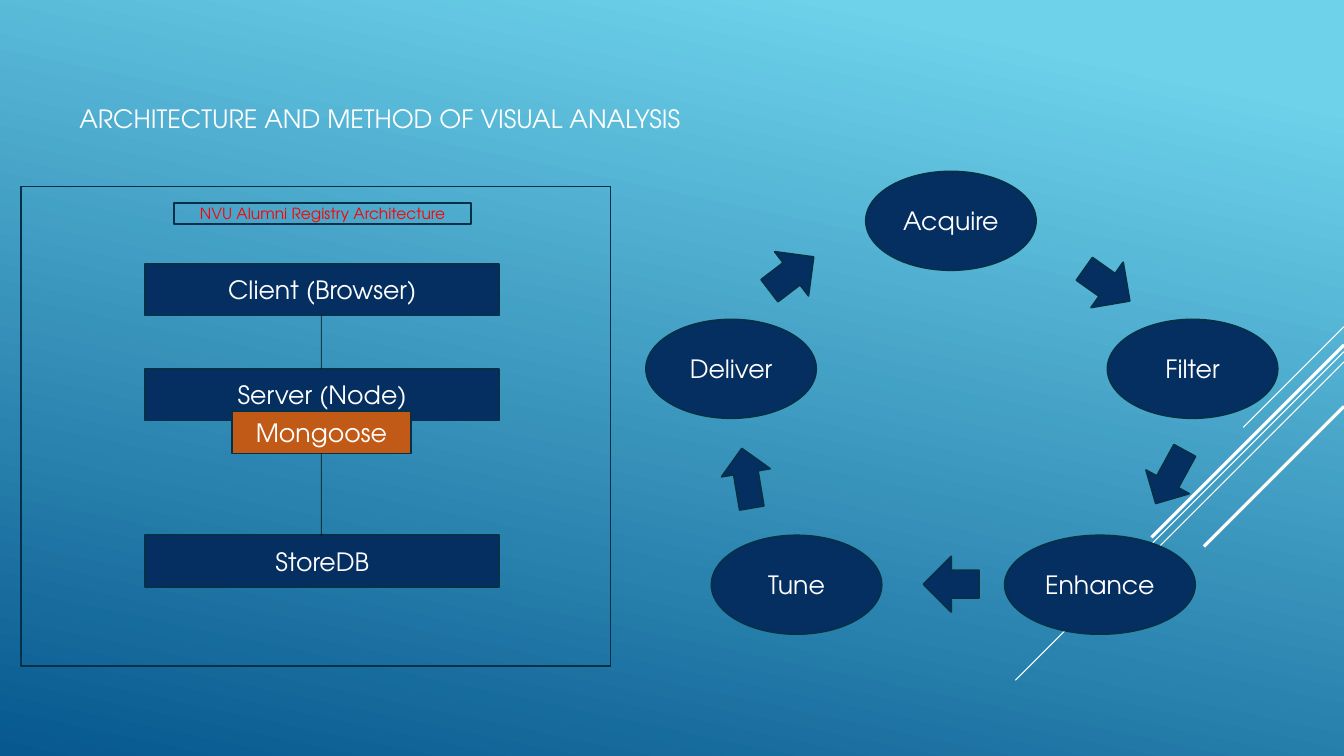
from lxml import etree
from pptx import Presentation
from pptx import util as u
from pptx.dml import color
from pptx.enum import shapes, text
from pptx.oxml import ns

COLORS = {
    "sky": "6ED2EB", "deep": "06588E", "navy": "052F61", "edge": "043148",
    "orange": "C15A16", "white": "FFFFFF", "red": "FF0000", "black": "000000",
}
KIND = shapes.MSO_SHAPE


def rgb(name):
    return color.RGBColor.from_string(COLORS[name])


def apply(target, values):
    for key, value in values.items():
        setattr(target, key, value)


class Slide:
    font = "TeX Gyre Adventor"
    frame = {"word_wrap": True, "auto_size": text.MSO_AUTO_SIZE.NONE,
             "vertical_anchor": text.MSO_ANCHOR.MIDDLE}

    def __init__(self, deck):
        self.page = deck.slides.add_slide(deck.slide_layouts[6])

    def background(self, angle, stops):
        fill = self.page.background.fill
        fill.gradient()
        fill.gradient_angle = angle
        for stop, (position, name) in zip(fill.gradient_stops, stops):
            stop.position = position
            stop.color.rgb = rgb(name)

    def label(self, box, words, size=18, ink="white", align=text.PP_ALIGN.CENTER):
        apply(box.text_frame, self.frame)
        para = box.text_frame.paragraphs[0]
        para.alignment = align
        span = para.add_run()
        span.text = words
        apply(span.font, {"name": self.font, "size": u.Pt(size)})
        span.font.color.rgb = rgb(ink)

    def title(self, words, *place):
        box = self.page.shapes.add_textbox(*map(u.Cm, place))
        self.label(box, words, align=text.PP_ALIGN.LEFT)

    def shape(self, kind, place, words=None, fill="navy", turn=0, **style):
        box = self.page.shapes.add_shape(kind, *map(u.Cm, place))
        box.shadow.inherit = False
        box.rotation = turn
        if fill:
            box.fill.solid()
            box.fill.fore_color.rgb = rgb(fill)
        else:
            box.fill.background()
        box.line.color.rgb = rgb("edge")
        box.line.width = u.Pt(1.25)
        if words:
            self.label(box, words, **style)

    def line(self, ends, ink, width=0.75, opacity=None):
        link = self.page.shapes.add_connector(
            shapes.MSO_CONNECTOR.STRAIGHT, *map(u.Cm, ends))
        link.line.color.rgb = rgb(ink)
        link.line.width = u.Pt(width)
        properties = link._element.spPr
        etree.SubElement(properties, ns.qn("a:effectLst"))
        if opacity:
            tone = properties.find(".//" + ns.qn("a:srgbClr"))
            etree.SubElement(tone, ns.qn("a:alpha"), val=str(opacity * 1000))


deck = Presentation()
WIDTH = 33.87
apply(deck, {"slide_width": u.Cm(WIDTH), "slide_height": u.Cm(19.05)})
slide = Slide(deck)
slide.background(258, [(0.1, "sky"), (1, "deep")])

for top, reach, width in [(8.23, 2.54, 0.75), (8.86, 8.28, 0.75),
                          (9.12, 5.26, 0.75), (8.69, 4.85, 2.25),
                          (10.24, 3.53, 2.25)]:
    slide.line((WIDTH, top, WIDTH - reach, top + reach), "white", width)

slide.title("ARCHITECTURE AND METHOD OF VISUAL ANALYSIS", 1.75, 1.6, 16.61, 2.79)

for step, left, top, width in [("Acquire", 21.82, 4.32, 4.29),
                               ("Filter", 27.91, 8.05, 4.29),
                               ("Tune", 17.93, 13.49, 4.29),
                               ("Deliver", 16.28, 8.05, 4.29),
                               ("Enhance", 25.32, 13.49, 4.8)]:
    slide.shape(KIND.OVAL, (left, top, width, 2.49), step)

SQUARE, LONG = (1.4, 1.4), (1.52, 1.24)
for left, top, size, turn in [(27.2, 6.48, SQUARE, 35.3),
                              (19.25, 6.2, SQUARE, 322.6),
                              (18.06, 11.43, LONG, 260.5),
                              (23.27, 14.02, SQUARE, 180),
                              (28.73, 11.4, LONG, 118.7)]:
    slide.shape(KIND.RIGHT_ARROW, (left, top, *size), turn=turn)

for layer, top in [("Client (Browser)", 6.65), ("Server (Node)", 9.3),
                   ("StoreDB", 13.49)]:
    slide.shape(KIND.RECTANGLE, (3.66, top, 8.92, 1.3), layer)
slide.shape(KIND.RECTANGLE, (5.84, 10.36, 4.52, 1.07), "Mongoose", "orange")

for start, end in [(7.95, 9.3), (11.43, 13.49)]:
    slide.line((8.1, start, 8.1, end), "black", opacity=60)

slide.shape(KIND.RECTANGLE, (0.53, 4.7, 14.86, 12.09), fill=None)
slide.shape(KIND.RECTANGLE, (4.39, 5.11, 7.49, 0.53),
            "NVU Alumni Registry Architecture", None, size=11, ink="red")

deck.save("out.pptx")
